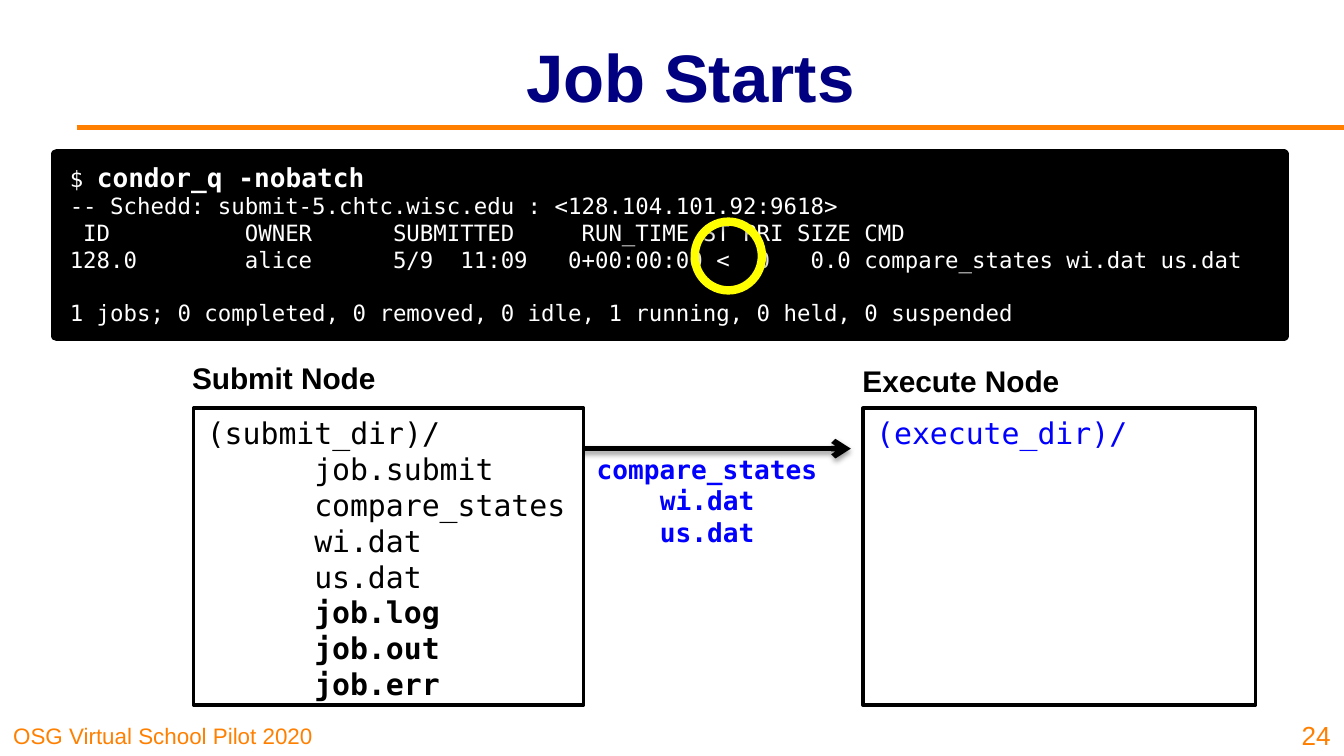
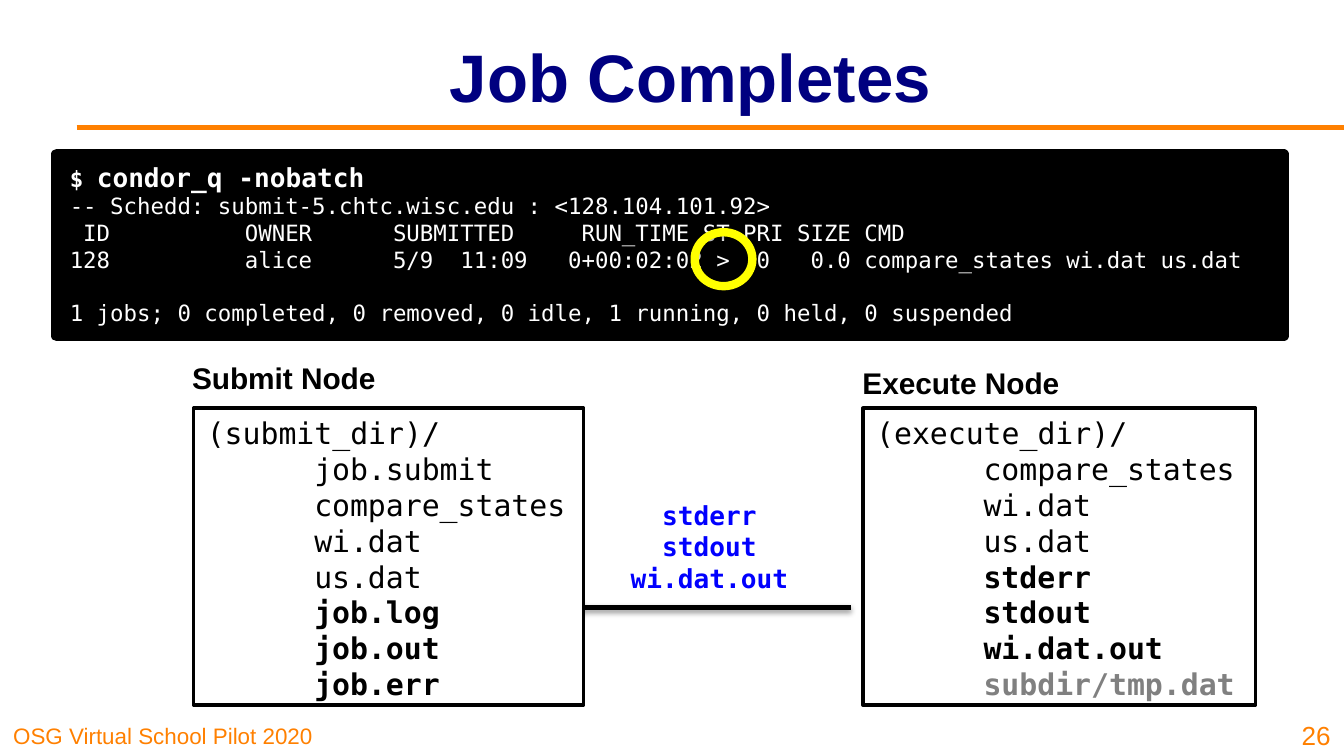
from lxml import etree
from pptx import Presentation
from pptx.dml.color import RGBColor
from pptx.enum.shapes import MSO_CONNECTOR, MSO_SHAPE
from pptx.enum.text import MSO_ANCHOR, MSO_AUTO_SIZE, PP_ALIGN
from pptx.oxml.ns import qn
from pptx.util import Cm, Pt

RECT, OVAL, STRAIGHT = MSO_SHAPE.RECTANGLE, MSO_SHAPE.OVAL, MSO_CONNECTOR.STRAIGHT
TOP, MIDDLE, BOTTOM = MSO_ANCHOR.TOP, MSO_ANCHOR.MIDDLE, MSO_ANCHOR.BOTTOM
LEFT, CENTER, RIGHT = PP_ALIGN.LEFT, PP_ALIGN.CENTER, PP_ALIGN.RIGHT

COLORS = {"title": "000080", "orange": "FF8000", "black": "000000", "white": "FFFFFF",
          "blue": "0100FE", "yellow": "FFFF00", "gray": "808080"}
SANS, MONO = "Arial", "DejaVu Sans Mono"

FOOTER = "OSG Virtual School Pilot 2020"
COMMAND = "condor_q -nobatch"
QUEUE_HEADER = " ID          OWNER      SUBMITTED     RUN_TIME ST PRI SIZE CMD"
QUEUE_SUMMARY = "1 jobs; 0 completed, 0 removed, 0 idle, 1 running, 0 held, 0 suspended"

# Files are listed as (name, format); positions are in centimetres.
BOLD, GRAY = {"bold": True}, {"bold": True, "color": "gray"}
SUBMIT_FILES = [("job.submit", {}), ("compare_states", {}), ("wi.dat", {}), ("us.dat", {}),
                ("job.log", BOLD), ("job.out", BOLD), ("job.err", BOLD)]
SLIDES = [
    {"title": "Job Starts", "number": "24", "prompt_bold": False,
     "schedd": "-- Schedd: submit-5.chtc.wisc.edu : <128.104.101.92:9618>",
     "job": "128.0        alice      5/9  11:09   0+00:00:00 <  0   0.0 "
            "compare_states wi.dat us.dat",
     "ring": (13.13, 4.19, 1.27, 1.3),
     "moved": ["compare_states", "wi.dat", "us.dat"], "moved_box": (10.85, 8.1, 5.03, 2.72),
     "arrow": (10.67, 16.08, 8.48),
     "execute_label_top": 6.65, "execute_color": "blue", "execute_files": []},
    {"title": "Job Completes", "number": "26", "prompt_bold": True,
     "schedd": "-- Schedd: submit-5.chtc.wisc.edu : <128.104.101.92>",
     "job": "128          alice      5/9  11:09   0+00:02:02 >  0   0.0 "
            "compare_states wi.dat us.dat",
     "ring": (13.13, 4.39, 1.09, 1.02),
     "moved": ["stderr", "stdout", "wi.dat.out"], "moved_box": (11.53, 9.07, 3.76, 2.51),
     "arrow": (16.08, 10.67, 11.48),
     "execute_label_top": 6.68, "execute_color": "black",
     "execute_files": [("compare_states", {}), ("wi.dat", {}), ("us.dat", {}),
                       ("stderr", BOLD), ("stdout", BOLD), ("wi.dat.out", BOLD),
                       ("subdir/tmp.dat", GRAY)]},
]


def rgb(name):
    return RGBColor.from_string(COLORS[name])


def write(shape, lines, anchor=TOP, align=LEFT, **base):
    """Fill a shape; each line is a string or a list of (text, format) runs."""
    tf = shape.text_frame
    tf.word_wrap, tf.auto_size, tf.vertical_anchor = True, MSO_AUTO_SIZE.NONE, anchor
    for i, line in enumerate(lines):
        p = tf.paragraphs[0] if i == 0 else tf.add_paragraph()
        p.alignment = align
        for text, extra in ([(line, {})] if isinstance(line, str) else line):
            fmt = {"font": SANS, "size": 12, "color": "black", "bold": False, **base, **extra}
            r = p.add_run()
            r.text = text
            r.font.name, r.font.size, r.font.bold = fmt["font"], Pt(fmt["size"]), fmt["bold"]
            r.font.color.rgb = rgb(fmt["color"])
            if "before" in fmt:
                p.space_before = Pt(fmt["before"])
            if "indent" in fmt:
                p._p.get_or_add_pPr().set("marL", str(Cm(fmt["indent"])))


def add_label(s, box, text, **fmt):
    write(s.shapes.add_textbox(*map(Cm, box)), [text], **fmt)


def add_box(s, box, fill, line, width, kind=RECT):
    sp = s.shapes.add_shape(kind, *map(Cm, box))
    sp.shadow.inherit = False
    if fill:
        sp.fill.solid()
        sp.fill.fore_color.rgb = rgb(fill)
    else:
        sp.fill.background()
    sp.line.color.rgb, sp.line.width = rgb(line), Pt(width)
    return sp


def add_line(s, x1, x2, y, color):
    c = s.shapes.add_connector(STRAIGHT, Cm(x1), Cm(y), Cm(x2), Cm(y))
    c.line.color.rgb, c.line.width = rgb(color), Pt(3)
    etree.SubElement(c._element.spPr, qn("a:effectLst"))
    return c


def add_shadow(sp, distance, opacity):
    effects = sp._element.spPr.find(qn("a:effectLst"))
    shadow = etree.SubElement(effects, qn("a:outerShdw"), blurRad=str(Pt(3.1)),
                              dist=str(Pt(distance)), dir="5400000", rotWithShape="0")
    color = etree.SubElement(shadow, qn("a:srgbClr"), val=COLORS["black"])
    etree.SubElement(color, qn("a:alpha"), val=str(opacity * 1000))


def add_frame(s, title, number):
    add_label(s, (0, 13.49, 6.3, 0.79), FOOTER, anchor=BOTTOM, color="orange")
    add_line(s, 1.45, 25.4, 2.41, "orange")
    sp = s.shapes.title
    sp.left, sp.top, sp.width, sp.height = map(Cm, (3.4, 0.23, 19.3, 2.39))
    write(sp, [title], anchor=MIDDLE, align=CENTER, size=36, color="title", bold=True)
    add_label(s, (24.23, 13.34, 1.17, 0.97), number, anchor=BOTTOM, align=RIGHT,
              size=14, color="orange")


def add_terminal(s, data):
    sp = add_box(s, (1.07, 2.92, 23.19, 3.43), "black", "black", 6)
    prompt = [("$ ", {"bold": data["prompt_bold"]}), (COMMAND, {"size": 14, "bold": True})]
    write(sp, [prompt, data["schedd"], QUEUE_HEADER, data["job"],
               [(QUEUE_SUMMARY, {"before": 14})]], font=MONO, color="white")
    ring = add_box(s, data["ring"], None, "yellow", 4.5, OVAL)
    add_shadow(ring, 1.8, 35)


def add_transfer(s, data):
    sp = add_box(s, data["moved_box"], "white", "white", 2)
    write(sp, data["moved"], anchor=MIDDLE, align=CENTER, font=MONO, size=14,
          color="blue", bold=True)
    arrow = add_line(s, *data["arrow"], "black")
    add_shadow(arrow, 1.6, 38)
    etree.SubElement(arrow.line._get_or_add_ln(), qn("a:tailEnd"), type="arrow")


def add_node(s, name, label_at, box, folder, files, color="black"):
    add_label(s, (*label_at, 4.27, 1.09), name, anchor=MIDDLE, size=16, bold=True)
    lines = [[(folder, {"color": color})]]
    lines += [[(file, {"indent": 2.03, **fmt})] for file, fmt in files]
    write(add_box(s, box, "white", "black", 2), lines, font=MONO, size=16)


def main():
    prs = Presentation()
    prs.slide_width, prs.slide_height = Cm(25.4), Cm(14.29)
    for data in SLIDES:
        s = prs.slides.add_slide(prs.slide_layouts[5])
        add_frame(s, data["title"], data["number"])
        add_transfer(s, data)
        add_terminal(s, data)
        add_node(s, "Submit Node", (3.38, 6.6), (3.66, 7.72, 7.37, 5.61),
                 "(submit_dir)/", SUBMIT_FILES)
        add_node(s, "Execute Node", (16.05, data["execute_label_top"]),
                 (16.31, 7.72, 7.42, 5.61), "(execute_dir)/",
                 data["execute_files"], data["execute_color"])
    prs.save("out.pptx")


if __name__ == "__main__":
    main()
